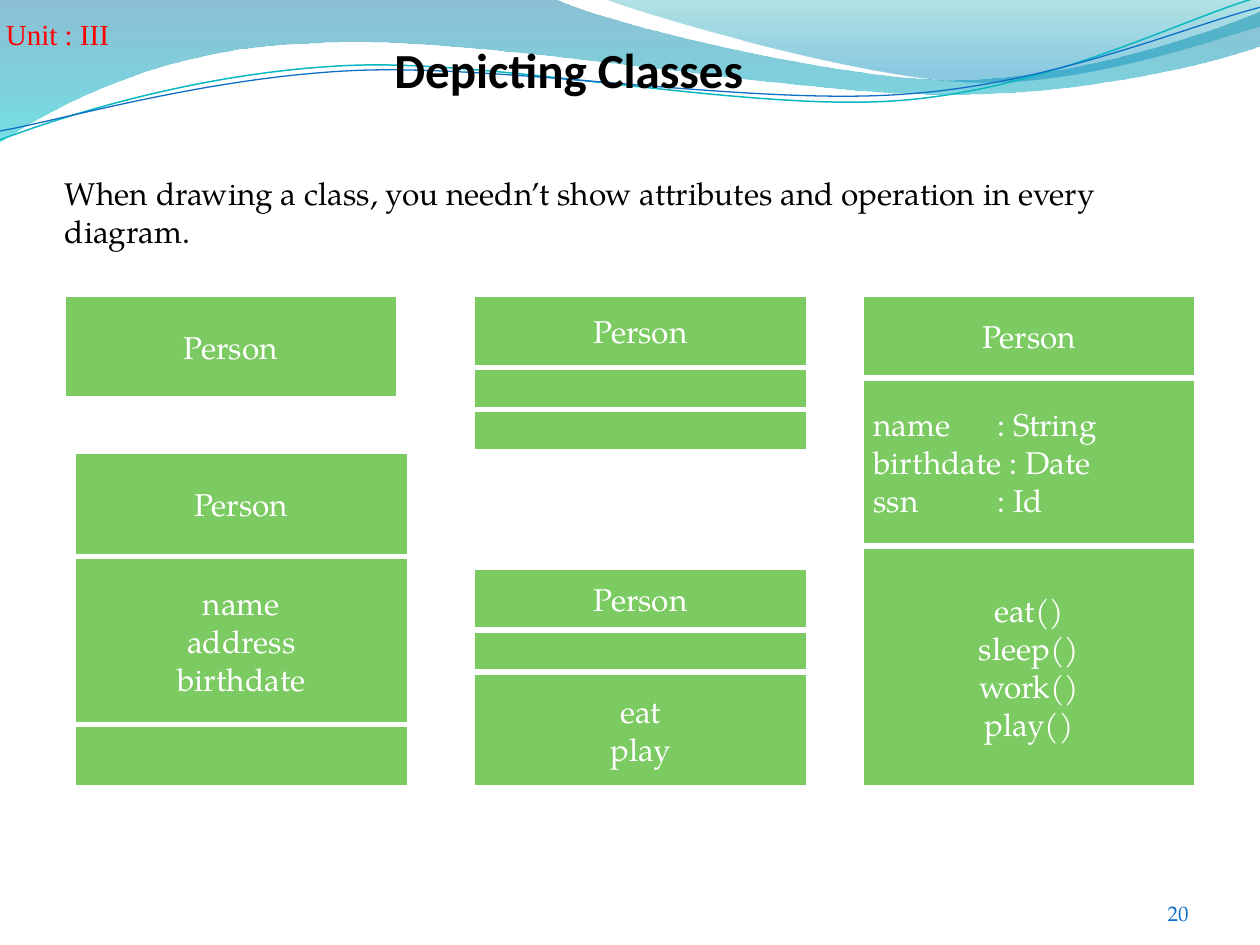
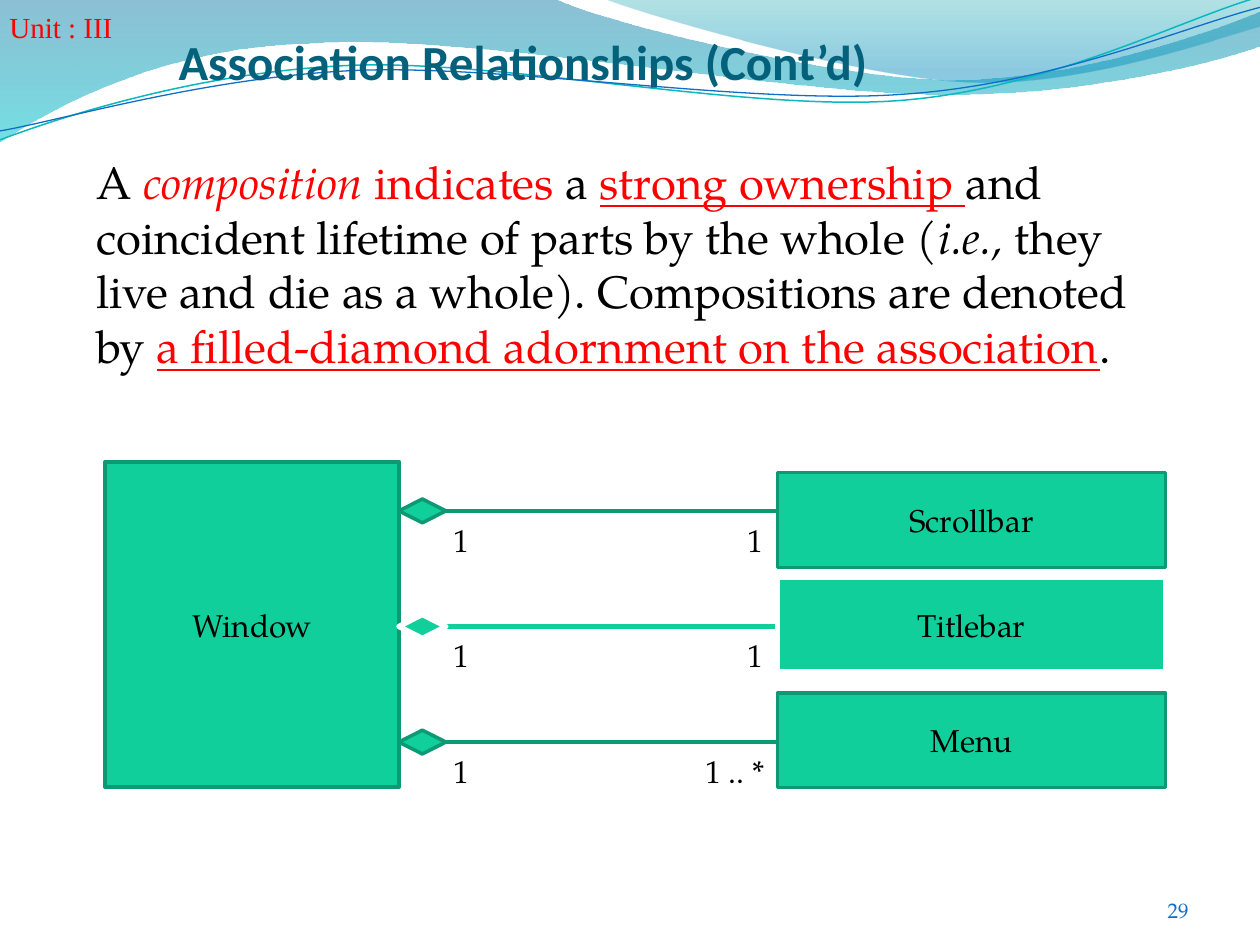
from lxml import etree
from pptx import Presentation
from pptx import util as u
from pptx.dml.color import RGBColor
from pptx.enum import shapes, text
from pptx.oxml.ns import qn


class Theme:
    body, head, tag = "TeX Gyre Pagella", "Calibri", "Times New Roman"
    black, white, red = "000000", "FFFFFF", "FF0000"
    navy, blue, aqua = "04617B", "0F6FC6", "0AB8BF"
    green, mint, pine = "7CCA62", "10CF9B", "0C9973"
    title, lead, text, unit, page = 28, 26, 18, 16.6, 12
    thick, thin = 3, 2


RECT = shapes.MSO_SHAPE.RECTANGLE
GEM = shapes.MSO_SHAPE.DIAMOND
MID = text.PP_ALIGN.CENTER
LEFT = text.PP_ALIGN.LEFT
rgb = RGBColor.from_string


def block(slide, kind, spot, fill, line, width):
    box = slide.shapes.add_shape(kind, *map(u.Cm, spot))
    box.shadow.inherit = False
    box.fill.solid()
    box.fill.fore_color.rgb = rgb(fill)
    box.line.color.rgb = rgb(line)
    box.line.width = u.Pt(width)
    return box


def write(box, lines, size=Theme.text, color=Theme.black, font=Theme.body,
          align=LEFT, anchor=text.MSO_ANCHOR.TOP, flat=False, bold=False):
    """Fill box with lines of (text, marks) runs; marks are r(ed), i, u."""
    frame = box.text_frame
    frame.word_wrap = True
    frame.vertical_anchor = anchor
    if flat:
        frame.vertical_anchor = text.MSO_ANCHOR.BOTTOM
        frame.margin_left = frame.margin_right = frame.margin_bottom = 0
    for i, line in enumerate(lines):
        para = frame.add_paragraph() if i else frame.paragraphs[0]
        para.alignment = align
        for words, marks in line:
            run = para.add_run()
            run.text = words
            run.font.name = font
            run.font.size = u.Pt(size)
            run.font.bold = bold
            run.font.italic = "i" in marks
            run.font.underline = "u" in marks
            run.font.color.rgb = rgb(Theme.red if "r" in marks else color)


deck = Presentation()
deck.slide_width, deck.slide_height = u.Cm(25.4), u.Cm(19.05)
blank = deck.slide_layouts[6]

# Title, title place, colour, alignment, unit place, page, page top
heads = [
    ("Depicting Classes", (5.75, 0.51, 11.43, 1.47), Theme.black, MID,
     (0.12, 0.23), "20", 18.03),
    ("Association Relationships (Cont’d)", (3.6, 0.36, 14.4, 1.47),
     Theme.navy, LEFT, (0.19, 0.08), "29", 17.97),
]
pages = []
for name, spot, color, align, tag, num, top in heads:
    slide = deck.slides.add_slide(blank)
    pages.append(slide)
    add = slide.shapes.add_textbox
    write(add(*map(u.Cm, spot)), [[(name, "")]], Theme.title, color,
          Theme.head, align, flat=True, bold=True)
    write(add(*map(u.Cm, (*tag, 2.84, 0.81))), [[("Unit : III", "")]],
          Theme.unit, Theme.red, Theme.tag, flat=True)
    write(add(*map(u.Cm, (23.29, top, 2.11, 1.02))), [[(num, "")]],
          Theme.page, Theme.blue)
kinds, whole = pages

# Header waves on the layout: a pair is a line, six numbers are a curve.
# Gradient stops are (place, colour, opacity).
waves = [
    ((0, 0), [(11.18, -0.03), (12.09, 0.43, 16.87, 1.6, 19.25, 1.6),
              (21.67, 1.6, 24.33, 0.66, 25.4, 0.23), (25.43, 0.91),
              (24.97, 1.12, 22.1, 1.93, 18.95, 1.9),
              (15.8, 1.9, 9.7, 0.71, 6.53, 0.86),
              (3.28, 0.91, 1.17, 2.11, -0.03, 2.87), (0, 0)],
     [(0, "0074A1", 45), (1, "00C6CF", 55)], None),
    ((12.17, -0.03), [(12.93, 0.28, 17.32, 1.57, 19.53, 1.65),
                      (21.74, 1.75, 24.41, 0.81, 25.4, 0.53), (25.4, 0),
                      (12.17, -0.03)],
     [(0, "00A1A9", 30), (0.8, "008BBF", 45)], None),
    ((0, 2.82), [(1.22, 2.36, 4.01, 1.45, 7.04, 1.32),
                 (10.03, 1.19, 15.06, 2.26, 18.11, 2.03),
                 (21.16, 1.8, 23.83, 0.38, 25.35, -0.05)],
     None, (Theme.aqua, 0.85)),
    ((0, 2.64), [(1.19, 2.44, 4.17, 1.55, 7.19, 1.42),
                 (10.24, 1.3, 15.16, 2.13, 18.21, 1.9),
                 (21.23, 1.7, 23.9, 0.53, 25.4, 0.15)],
     None, (Theme.blue, 0.75)),
]
for start, parts, stops, pen in waves:
    dots = [(u.Cm(part[k]), u.Cm(part[k + 1]))
            for part in parts for k in range(0, len(part), 2)]
    trail = kinds.shapes.build_freeform(*map(u.Cm, start))
    trail.add_line_segments(dots, close=bool(stops))
    wave = trail.convert_to_shape()
    # Join the three points of each curve into one Bézier step
    steps = iter(list(wave.element.spPr.iter(qn("a:lnTo"))))
    for part in parts:
        step = next(steps)
        if len(part) == 6:
            step.tag = qn("a:cubicBezTo")
            for _ in range(2):
                extra = next(steps)
                step.append(extra[0])
                extra.getparent().remove(extra)
    wave.shadow.inherit = False
    if stops:
        wave.fill.gradient()
        wave.fill.gradient_angle = 270
        for stop, (place, color, alpha) in zip(wave.fill.gradient_stops, stops):
            stop.position = place
            stop.color.rgb = rgb(color)
        for tint, (place, color, alpha) in zip(
                wave.element.spPr.iter(qn("a:srgbClr")), stops):
            etree.SubElement(tint, qn("a:alpha"), val=str(alpha * 1000))
        wave.line.fill.background()
    else:
        wave.fill.background()
        wave.line.color.rgb = rgb(pen[0])
        wave.line.width = u.Pt(pen[1])
    blank.shapes.element.append(wave.element)

# Slide 1: class boxes as stacks of (height, rows)
write(kinds.shapes.add_textbox(*map(u.Cm, (1.06, 3.38, 23.19, 2.29))),
      [[("When drawing a class, you needn’t show attributes and operation "
         "in every diagram.", "")]])
stacks = [
    (17.36, 5.93, [(1.69, ["Person"]),
                   (3.39, ["name\t: String", "birthdate : Date", "ssn\t: Id"]),
                   (4.87, ["eat()", "sleep()", "work()", "play()"])]),
    (1.27, 5.93, [(2.11, ["Person"])]),
    (1.48, 9.1, [(2.12, ["Person"]),
                 (3.39, ["name", "address", "birthdate"]), (1.27, [])]),
    (9.53, 11.43, [(1.27, ["Person"]), (0.85, []), (2.33, ["eat", "play"])]),
    (9.53, 5.93, [(1.48, ["Person"]), (0.85, []), (0.85, [])]),
]
for left, top, cells in stacks:
    for high, rows in cells:
        box = block(kinds, RECT, (left, top, 6.77, high),
                    Theme.green, Theme.white, Theme.thick)
        typed = any("\t" in row for row in rows)
        write(box, [[(row, "")] for row in rows], color=Theme.white,
              align=LEFT if typed else MID, anchor=text.MSO_ANCHOR.MIDDLE)
        if typed:
            for para in box.text_frame.paragraphs:
                props = para._p.get_or_add_pPr()
                tabs = etree.SubElement(props, qn("a:tabLst"))
                etree.SubElement(tabs, qn("a:tab"), pos=str(u.Cm(2.5)),
                                 algn="l")
        top += high

# Slide 2: a window composed of its parts
write(whole.shapes.add_textbox(*map(u.Cm, (1.69, 2.98, 21.8, 4.7))), [[
    ("A ", ""), ("composition ", "ri"), ("indicates ", "r"), ("a ", ""),
    ("strong ownership ", "ru"),
    ("and coincident lifetime of parts by the whole (", ""), ("i.e.,", "i"),
    (" they live and die as a whole). Compositions are denoted by ", ""),
    ("a filled-diamond adornment on the association", "ru"), (".", ""),
]], Theme.lead)
box = block(whole, RECT, (2.12, 9.31, 5.93, 6.56),
            Theme.mint, Theme.pine, Theme.thin)
write(box, [[("Window", "")]], align=MID, anchor=text.MSO_ANCHOR.MIDDLE)

dark = (Theme.pine, Theme.pine, Theme.thin)
pale = (Theme.mint, Theme.white, Theme.thick)
links = [
    ("Scrollbar", 9.53, dark, "1", 14.82, 0.85),
    ("Titlebar", 11.64, pale, "1", 14.82, 0.85),
    ("Menu", 13.97, dark, "1 .. *", 13.97, 2.12),
]
for i, (name, top, (pen, edge, width), count, left, room) in enumerate(links):
    mid = 10.3 + 2.33 * i
    wire = whole.shapes.add_connector(
        shapes.MSO_CONNECTOR.STRAIGHT, *map(u.Cm, (8.99, mid, 15.77, mid)))
    wire.line.color.rgb = rgb(pen)
    wire.line.width = u.Pt(width)
    etree.SubElement(wire.element.spPr, qn("a:effectLst"))
    block(whole, GEM, (8.04, mid - 0.24, 0.95, 0.48), Theme.mint, edge, width)
    box = block(whole, RECT, (15.67, top, 7.83, 1.91), Theme.mint, edge, width)
    write(box, [[(name, "")]], align=MID, anchor=text.MSO_ANCHOR.MIDDLE)
    for label, x, wide in (("1", 8.89, 0.85), (count, left, room)):
        spot = (x, mid + 0.07, wide, 1.02)
        write(whole.shapes.add_textbox(*map(u.Cm, spot)), [[(label, "")]])

deck.save("out.pptx")
